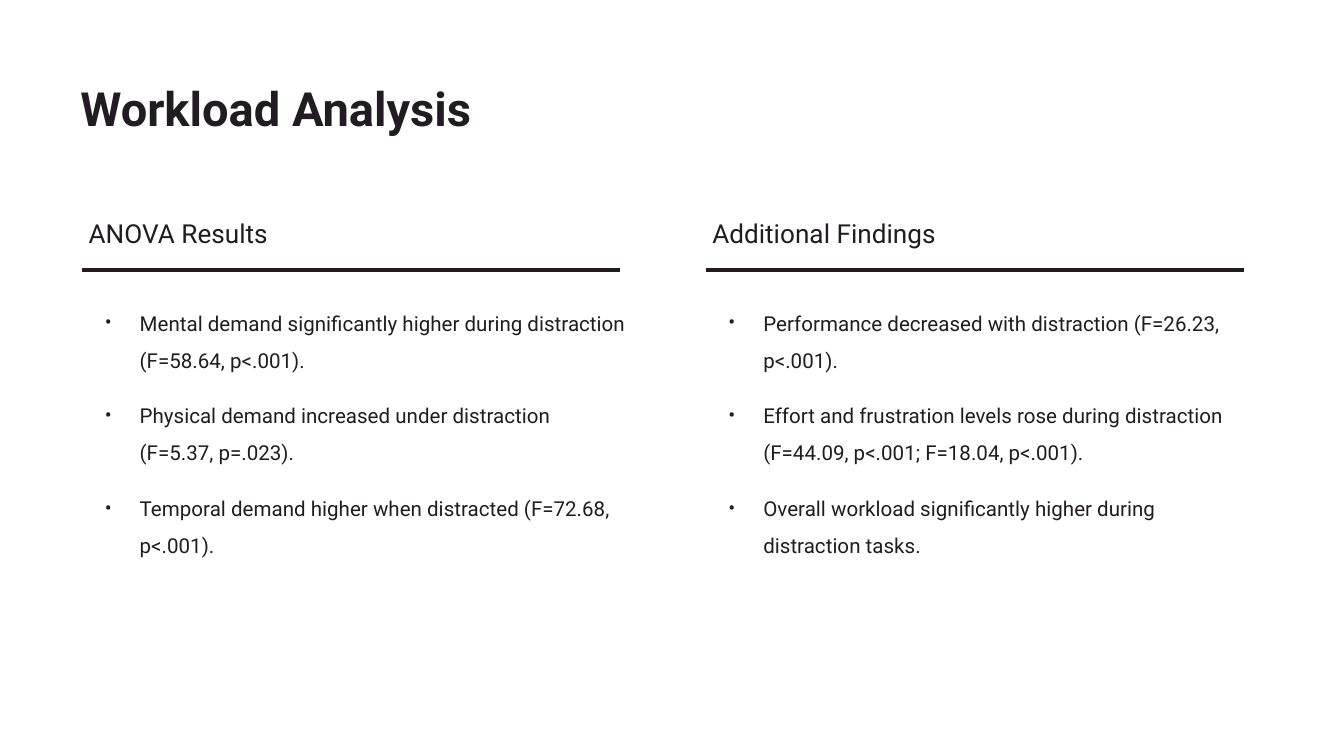
import lxml.etree
import pptx
import pptx.dml.color
import pptx.enum.shapes
import pptx.enum.text
import pptx.oxml.ns
import pptx.util

INK = "211C21"
FONT = "Roboto"
COLUMN_LEFTS = (43.92, 378)
COLUMN_WIDTH = 300.24
RULE_WIDTH = 288.4
RULE_TOP = 144.72
COLUMNS = (
    ("ANOVA Results", (
        "Mental demand significantly higher during distraction (F=58.64, p<.001).",
        "Physical demand increased under distraction (F=5.37, p=.023).",
        "Temporal demand higher when distracted (F=72.68, p<.001).",
    )),
    ("Additional Findings", (
        "Performance decreased with distraction (F=26.23, p<.001).",
        "Effort and frustration levels rose during distraction (F=44.09, p<.001; F=18.04, p<.001).",
        "Overall workload significantly higher during distraction tasks.",
    )),
)


def color(hex_string):
    """Turn a hex string into a colour."""
    return pptx.dml.color.RGBColor.from_string(hex_string)


def add_text(slide, box, lines, size, bold=False, anchor="TOP", margins=(3.6, 7.2)):
    """Add a wrapped text box with one paragraph per line and return its paragraphs."""
    shape = slide.shapes.add_textbox(*map(pptx.util.Pt, box))
    text_frame = shape.text_frame
    text_frame.word_wrap = True
    text_frame.vertical_anchor = getattr(pptx.enum.text.MSO_ANCHOR, anchor)
    text_frame.margin_left, text_frame.margin_right = map(pptx.util.Pt, margins)
    text_frame.margin_top = text_frame.margin_bottom = pptx.util.Pt(7.2)
    text_frame.text = "\n".join(lines)
    for paragraph in text_frame.paragraphs:
        for run in paragraph.runs:
            run.font.name = FONT
            run.font.size = pptx.util.Pt(size)
            run.font.bold = bold
            run.font.color.rgb = color(INK)
    return text_frame.paragraphs


def add_bullet(paragraph):
    """Give a paragraph a hanging round bullet."""
    name = pptx.oxml.ns.qn
    properties = paragraph._p.get_or_add_pPr()
    properties.set("marL", str(pptx.util.Pt(27.36)))
    properties.set("indent", str(pptx.util.Pt(-18.72)))
    bullet_color = lxml.etree.SubElement(properties, name("a:buClr"))
    lxml.etree.SubElement(bullet_color, name("a:srgbClr"), val=INK)
    lxml.etree.SubElement(properties, name("a:buFont"), typeface=FONT)
    lxml.etree.SubElement(properties, name("a:buChar"), char="•")


def add_bullet_list(slide, left, items):
    """Add the bulleted findings of one column."""
    paragraphs = add_text(slide, (left, 152.64, COLUMN_WIDTH, 207.36), items, 11)
    for index, paragraph in enumerate(paragraphs):
        add_bullet(paragraph)
        paragraph.line_spacing = 1.5
        paragraph.space_before = pptx.util.Pt(10 if index else 0)
    paragraphs[-1].space_after = pptx.util.Pt(10)


def add_heading(slide, left, heading):
    """Add the heading of one column."""
    box = (left, 91.44, COLUMN_WIDTH, 48.96)
    paragraphs = add_text(slide, box, [heading], 14, anchor="BOTTOM", margins=(3.6, 10.8))
    paragraphs[0].space_after = pptx.util.Pt(12)


def add_rule(slide, left):
    """Add the horizontal rule below a column heading."""
    ends = map(pptx.util.Pt, (left, RULE_TOP, left + RULE_WIDTH, RULE_TOP))
    rule = slide.shapes.add_connector(pptx.enum.shapes.MSO_CONNECTOR.STRAIGHT, *ends)
    rule.line.color.rgb = color(INK)
    rule.line.width = pptx.util.Pt(2.25)
    lxml.etree.SubElement(rule._element.spPr, pptx.oxml.ns.qn("a:effectLst"))


def main():
    """Build and save the slide."""
    presentation = pptx.Presentation()
    presentation.slide_width = pptx.util.Pt(720)
    presentation.slide_height = pptx.util.Pt(405)
    slide = presentation.slides.add_slide(presentation.slide_layouts[6])
    add_text(slide, (36, 35.28, 648, 45.36), ["Workload Analysis"], 25.2,
             bold=True, anchor="MIDDLE", margins=(7.2, 7.2))
    for left, (heading, findings) in zip(COLUMN_LEFTS, COLUMNS):
        add_heading(slide, left, heading)
        add_rule(slide, left)
        add_bullet_list(slide, left, findings)
    presentation.save("out.pptx")


if __name__ == "__main__":
    main()
